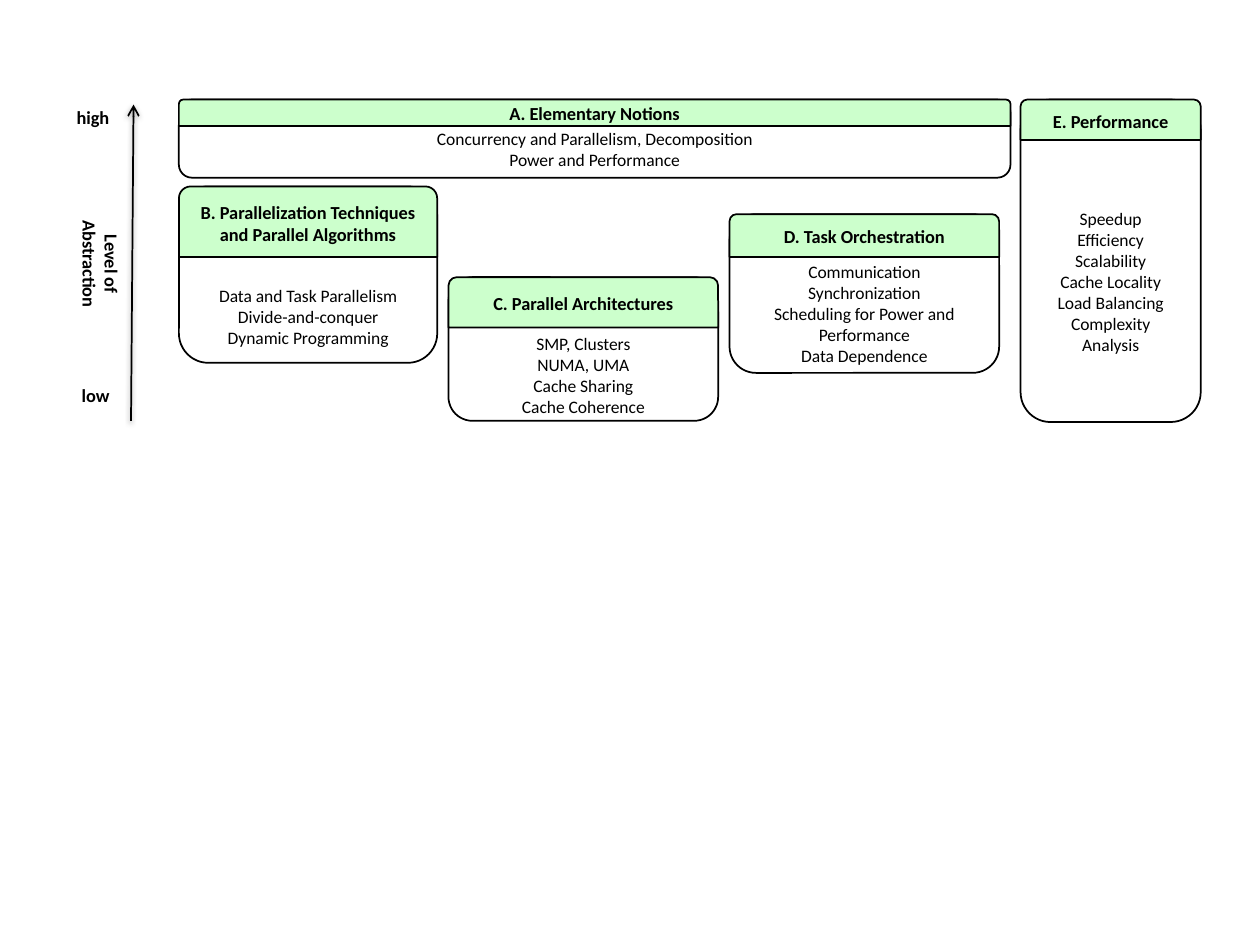
from dataclasses import dataclass

from lxml.etree import SubElement
from pptx import Presentation
from pptx.dml.color import RGBColor
from pptx.enum.shapes import MSO_CONNECTOR as Connector, MSO_SHAPE as Shape
from pptx.enum.text import MSO_ANCHOR as Anchor, PP_ALIGN as Align
from pptx.oxml.ns import qn
from pptx.util import Emu, Inches, Pt

COLUMNS, ROWS = 1000, 750
SLIDE_WIDTH, SLIDE_HEIGHT = Inches(10), Inches(7.5)
BLACK, GREEN = "000000", "CCFFCC"
CORNER_SHARE = 0.05
BODY_FONT = {"name": "Calibri", "size": Pt(10), "bold": False}
TITLE_FONT = {"name": "Calibri", "size": Pt(10.5), "bold": True}


@dataclass(frozen=True)
class Area:
    """A rectangle in grid columns and rows."""
    column: float
    row: float
    columns: float
    rows: float


@dataclass(frozen=True)
class Card:
    """A rounded card with a header band and body lines starting at text_row."""
    title: str
    lines: tuple[str, ...]
    area: Area
    header_rows: float
    text_row: float


@dataclass(frozen=True)
class Label:
    """A bold caption beside the abstraction axis."""
    text: str
    area: Area
    align: Align = Align.LEFT
    rotation: float = 0


CARDS = (
    Card("B. Parallelization Techniques and Parallel Algorithms",
         ("Data and Task Parallelism", "Divide-and-conquer", "Dynamic Programming"),
         Area(142, 148, 205, 140), 56, 226.5),
    Card("D. Task Orchestration",
         ("Communication", "Synchronization", "Scheduling for Power and Performance",
          "Data Dependence"),
         Area(579, 170, 214, 126), 34, 207.5),
    Card("C. Parallel Architectures",
         ("SMP, Clusters", "NUMA, UMA", "Cache Sharing", "Cache Coherence"),
         Area(356, 220, 214, 114), 40, 264.5),
    Card("E. Performance",
         ("Speedup", "Efficiency", "Scalability", "Cache Locality", "Load Balancing",
          "Complexity Analysis"),
         Area(810, 79, 143, 256), 32, 165.5),
    Card("A. Elementary Notions",
         ("Concurrency and Parallelism, Decomposition", "Power and Performance"),
         Area(142, 79, 660, 62), 21, 102),
)
LABELS = (
    Label("low", Area(55, 300, 49, 29)),
    Label("high", Area(51, 79, 56, 29)),
    Label("Level of Abstraction", Area(10, 186, 138, 47), Align.CENTER, 90),
)


def across(columns: float) -> Emu:
    """Turn grid columns into a length."""
    return Emu(round(SLIDE_WIDTH * columns / COLUMNS))


def down(rows: float) -> Emu:
    """Turn grid rows into a length."""
    return Emu(round(SLIDE_HEIGHT * rows / ROWS))


def place(area: Area) -> tuple[Emu, Emu, Emu, Emu]:
    """Give left, top, width and height of an area."""
    return across(area.column), down(area.row), across(area.columns), down(area.rows)


def paint(colour_format, colour: str) -> None:
    """Set a colour from a hex string."""
    colour_format.rgb = RGBColor.from_string(colour)


def apply(target, values: dict) -> None:
    """Set attributes from a dict of format values."""
    for name, value in values.items():
        setattr(target, name, value)


def write(box, lines: tuple[str, ...], font: dict, align: Align, frame: dict) -> None:
    """Write one paragraph per line into a box."""
    text_frame = box.text_frame
    apply(text_frame, {"word_wrap": True, **frame})
    for index, line in enumerate(lines):
        para = text_frame.paragraphs[0] if index == 0 else text_frame.add_paragraph()
        para.alignment = align
        span = para.add_run()
        span.text = line
        apply(span.font, font)
        paint(span.font.color, BLACK)


def outline(page, kind: Shape, area: Area, fill: str | None = None):
    """Draw a black-edged shape, filled when a colour is given."""
    box = page.shapes.add_shape(kind, *place(area))
    box.shadow.inherit = False
    if fill:
        box.fill.solid()
        paint(box.fill.fore_color, fill)
    else:
        box.fill.background()
    paint(box.line.color, BLACK)
    box.line.width = Pt(1)
    return box


def draw_card(page, card: Card) -> None:
    """Draw a card body and the header band over its top."""
    area = card.area
    corner = CORNER_SHARE * min(area.columns, area.rows)
    body = outline(page, Shape.ROUNDED_RECTANGLE, area)
    write(body, card.lines, BODY_FONT, Align.CENTER,
          {"vertical_anchor": Anchor.TOP, "margin_bottom": 0,
           "margin_top": down(card.text_row - area.row - corner)})
    band = Area(area.column, area.row, area.columns, card.header_rows)
    header = outline(page, Shape.ROUND_2_SAME_RECTANGLE, band, GREEN)
    write(header, (card.title,), TITLE_FONT, Align.CENTER,
          {"vertical_anchor": Anchor.MIDDLE})


def draw_label(page, label: Label) -> None:
    """Draw a caption, turned when it has a rotation."""
    box = page.shapes.add_textbox(*place(label.area))
    box.rotation = label.rotation
    write(box, (label.text,), TITLE_FONT, label.align, {"vertical_anchor": Anchor.TOP})


def draw_axis(page) -> None:
    """Draw the upward abstraction arrow with its soft shadow."""
    axis = page.shapes.add_connector(
        Connector.STRAIGHT, across(104), down(334), across(106), down(83))
    paint(axis.line.color, BLACK)
    axis.line.width = Pt(1)
    SubElement(axis.line._get_or_add_ln(), qn("a:tailEnd"), type="arrow")
    effects = SubElement(axis._element.spPr, qn("a:effectLst"))
    shadow = SubElement(effects, qn("a:outerShdw"), blurRad=str(Pt(3.1)),
                        dist=str(Pt(1.6)), dir="5400000", rotWithShape="0")
    colour = SubElement(shadow, qn("a:srgbClr"), val=BLACK)
    SubElement(colour, qn("a:alpha"), val="38000")


def main() -> None:
    """Build and save the slide."""
    deck = Presentation()
    apply(deck, {"slide_width": SLIDE_WIDTH, "slide_height": SLIDE_HEIGHT})
    page = deck.slides.add_slide(deck.slide_layouts[6])
    for card in CARDS:
        draw_card(page, card)
    draw_axis(page)
    for label in LABELS:
        draw_label(page, label)
    deck.save("out.pptx")


if __name__ == "__main__":
    main()
